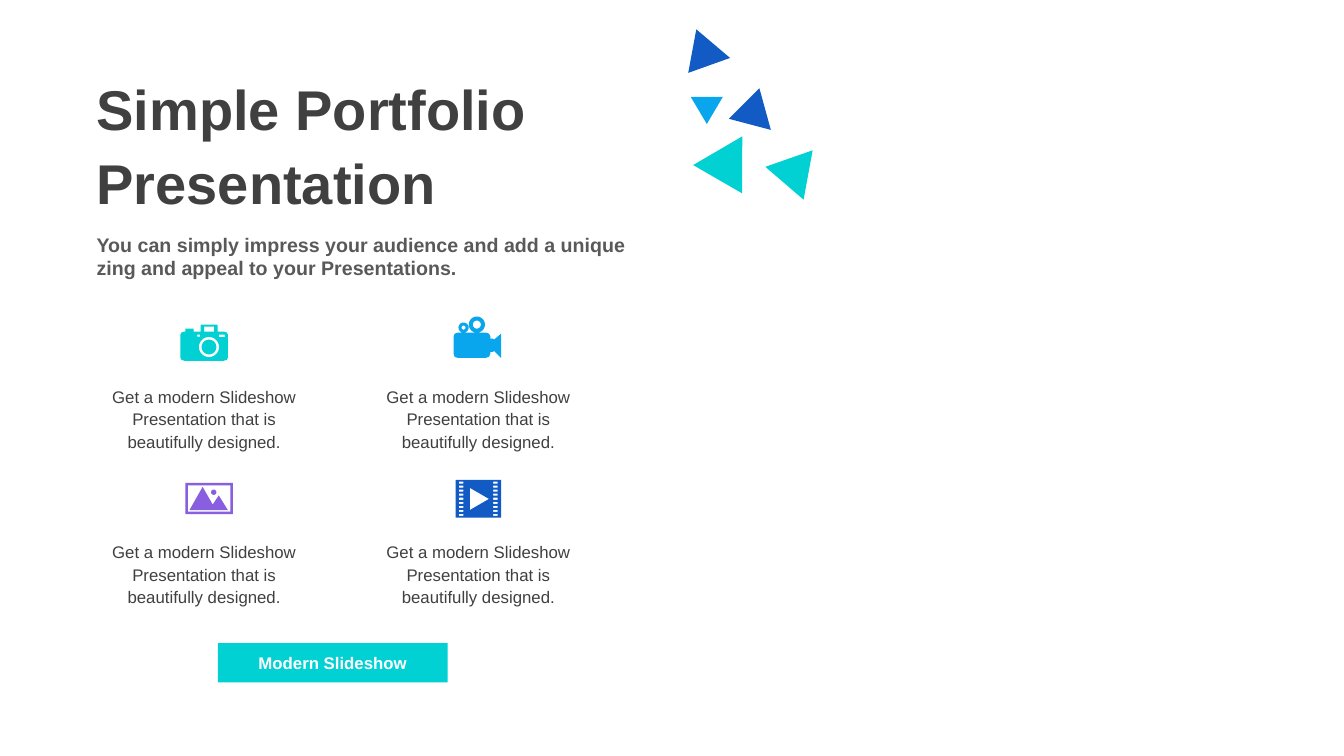
import math
import pptx
import pptx.util
import pptx.dml.color
import pptx.enum.shapes
import pptx.enum.text

Inches = pptx.util.Inches
Kind = pptx.enum.shapes.MSO_SHAPE
Align = pptx.enum.text.PP_ALIGN
Anchor = pptx.enum.text.MSO_ANCHOR


def hue(code):
    return pptx.dml.color.RGBColor.from_string(code)


def paint(shape, code):
    """Give a shape a flat fill with no line and no shadow."""
    shape.fill.solid()
    shape.fill.fore_color.rgb = hue(code)
    shape.line.fill.background()
    shape.shadow.inherit = False


TEAL, SKY, BLUE, PLUM = "01D1D3", "0AA6ED", "125AC4", "875FDF"
DARK, GREY, WHITE = "404040", "595959", "FFFFFF"

deck = pptx.Presentation()
deck.slide_width, deck.slide_height = Inches(13.33), Inches(7.5)
shapes = deck.slides.add_slide(deck.slide_layouts[6]).shapes

# Scattered triangles: left, top, width, height, turn, colour
for *place, turn, code in [
    (6.75, 0.28, 0.44, 0.38, 340.4, BLUE),
    (6.96, 1.32, 0.56, 0.49, 30, TEAL),
    (7.67, 1.44, 0.5, 0.43, 40.6, TEAL),
    (7.27, 0.87, 0.43, 0.37, 14.8, BLUE),
    (6.85, 0.96, 0.32, 0.27, 180, SKY),
]:
    tri = shapes.add_shape(Kind.ISOSCELES_TRIANGLE, *map(Inches, place))
    tri.rotation = turn
    paint(tri, code)

# Texts: place, words, size, bold, colour, line spacing, alignment, anchor
blurb = "Get a modern Slideshow Presentation that is beautifully designed."
texts = [
    ((0.86, 0.78, 4.58, 1.26), "Simple Portfolio Presentation",
     40, True, DARK, 1.1, Align.LEFT, Anchor.MIDDLE),
    ((0.86, 2.26, 5.64, 0.57),
     "You can simply impress your audience and add a unique zing "
     "and appeal to your Presentations.",
     14, True, GREY, 1.0, Align.LEFT, Anchor.TOP),
]
for row in range(2):
    for col in range(2):
        cell = (0.87 + 2.72 * col, 3.77 + 1.54 * row, 2.31, 0.76)
        texts.append((cell, blurb, 12, False, DARK, 1.1,
                      Align.CENTER, Anchor.TOP))
texts.append(((2.16, 6.38, 2.28, 0.39), "Modern Slideshow",
              12, True, WHITE, 1.0, Align.CENTER, Anchor.MIDDLE))

for place, words, size, bold, code, space, align, anchor in texts:
    if code == WHITE:
        box = shapes.add_shape(Kind.RECTANGLE, *map(Inches, place))
        paint(box, TEAL)
    else:
        box = shapes.add_textbox(*map(Inches, place))
    frame = box.text_frame
    frame.word_wrap = True
    frame.vertical_anchor = anchor
    frame.text = words
    para = frame.paragraphs[0]
    para.alignment, para.line_spacing = align, space
    font = para.runs[0].font
    font.name, font.size, font.bold = "Arial", pptx.util.Pt(size), bold
    font.color.rgb = hue(code)

# Icons in hundredths of an inch; inner outlines cut holes.
# Three numbers: disc (x, y, radius). Four: box (left, top, right, bottom).
# A list: corners.
unit = Inches(0.01)
film = [(0, 0, 45, 37.5), [(14, 8), (14, 30), (33, 19)]]
film += [(x, 1.8 + 4 * n, x + 4.5, 3.8 + 4 * n)
         for n in range(9) for x in (3, 37)]
camera = [
    [(0, 10), (1, 8), (4, 7), (5, 7), (5, 4), (13, 4), (13, 7), (20, 7),
     (20, 1), (21, 0), (36, 0), (37, 1), (37, 7), (43, 7), (46, 8), (47, 10),
     (47, 33), (46, 35), (43, 36), (4, 36), (1, 35), (0, 33)],
    (23.5, 2, 33.5, 7), (16.5, 10, 19.5, 12), (38, 10, 44, 12.5),
    (28.3, 22.3, 10), (28.3, 22.3, 7.3),
]
video = [
    [(0, 20), (1, 17), (4, 16), (32, 16), (35, 17), (36.5, 20), (36.5, 22),
     (39, 22), (40, 23), (47, 17), (47, 41), (40, 34), (39, 35), (36.5, 35),
     (36.5, 37), (35, 40), (32, 41), (4, 41), (1, 40), (0, 37)],
    (23, 8, 8), (23, 8, 4), (9.8, 11, 5), (9.8, 11, 2),
]
photo = [
    (0, 0, 47, 31), (2.5, 2.5, 44.5, 28.5), (28, 9.3, 2.6),
    [(17, 4), (27, 21.5), (33, 12.5), (42, 27), (4, 27)],
]

for left, top, code, parts in [
    (4.52, 4.76, BLUE, film),
    (1.79, 3.22, TEAL, camera),
    (4.5, 3.14, SKY, video),
    (1.84, 4.79, PLUM, photo),
]:
    pen = None
    for part in parts:
        if isinstance(part, list):
            dots = part
        elif len(part) == 3:
            x, y, rad = part
            turns = [math.tau * n / 36 for n in range(36)]
            dots = [(x + rad * math.cos(t), y + rad * math.sin(t))
                    for t in turns]
        else:
            x, y, right, low = part
            dots = [(x, y), (right, y), (right, low), (x, low)]
        dots = [(x * unit, y * unit) for x, y in dots]
        if pen is None:
            pen = shapes.build_freeform(*dots[0])
        else:
            pen.move_to(*dots[0])
        pen.add_line_segments(dots[1:], close=True)
    paint(pen.convert_to_shape(Inches(left), Inches(top)), code)

deck.save("out.pptx")
